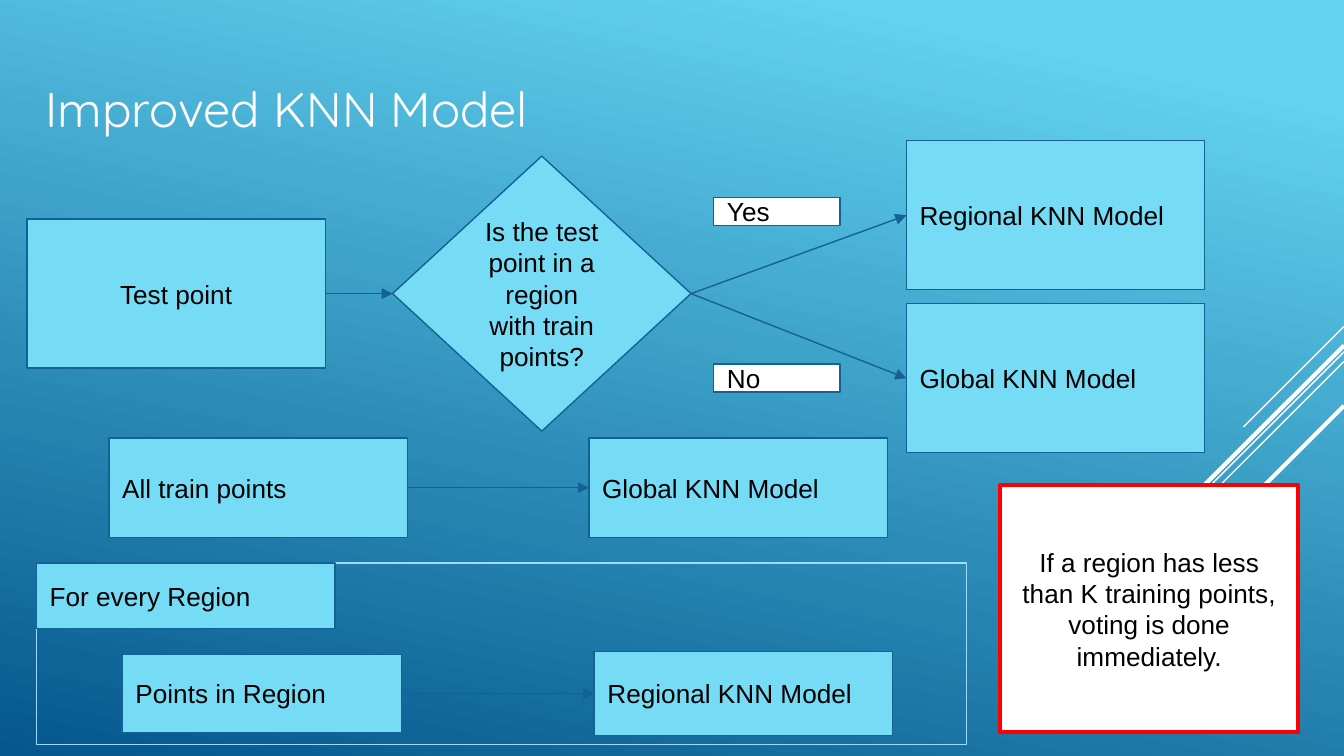
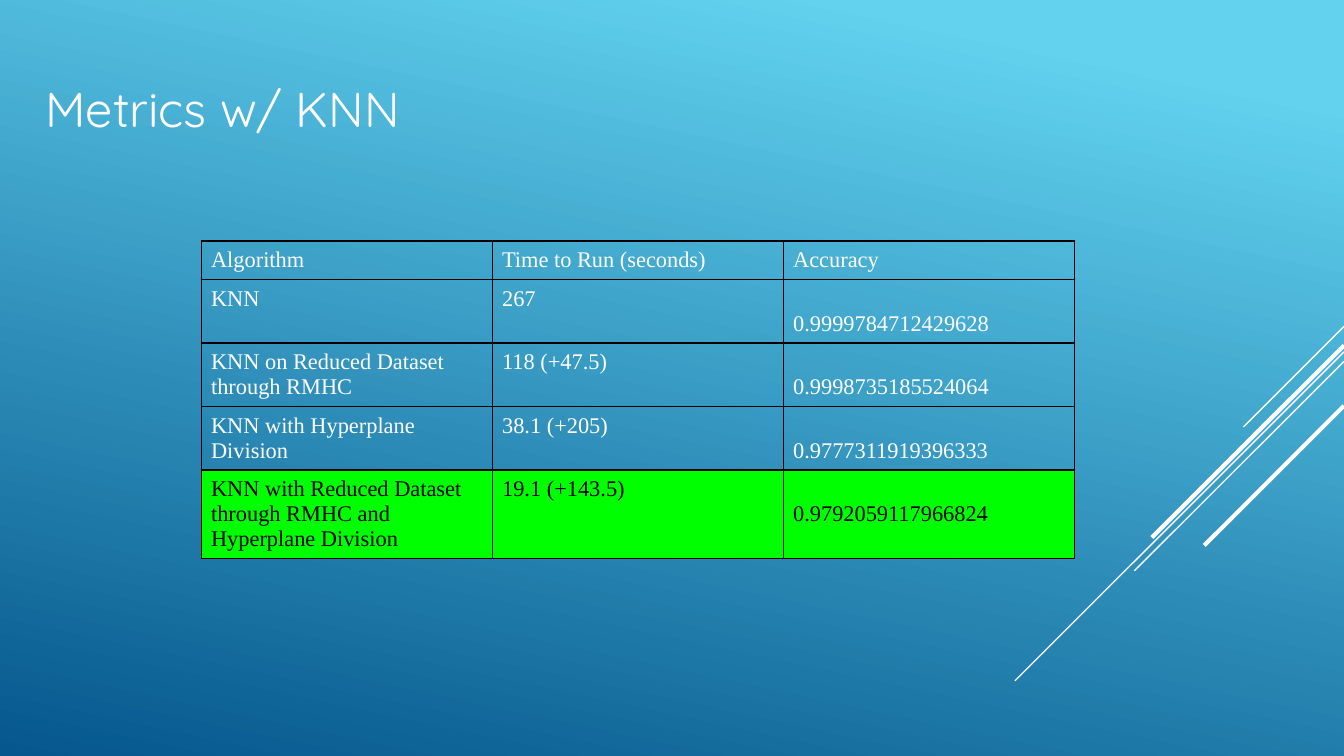
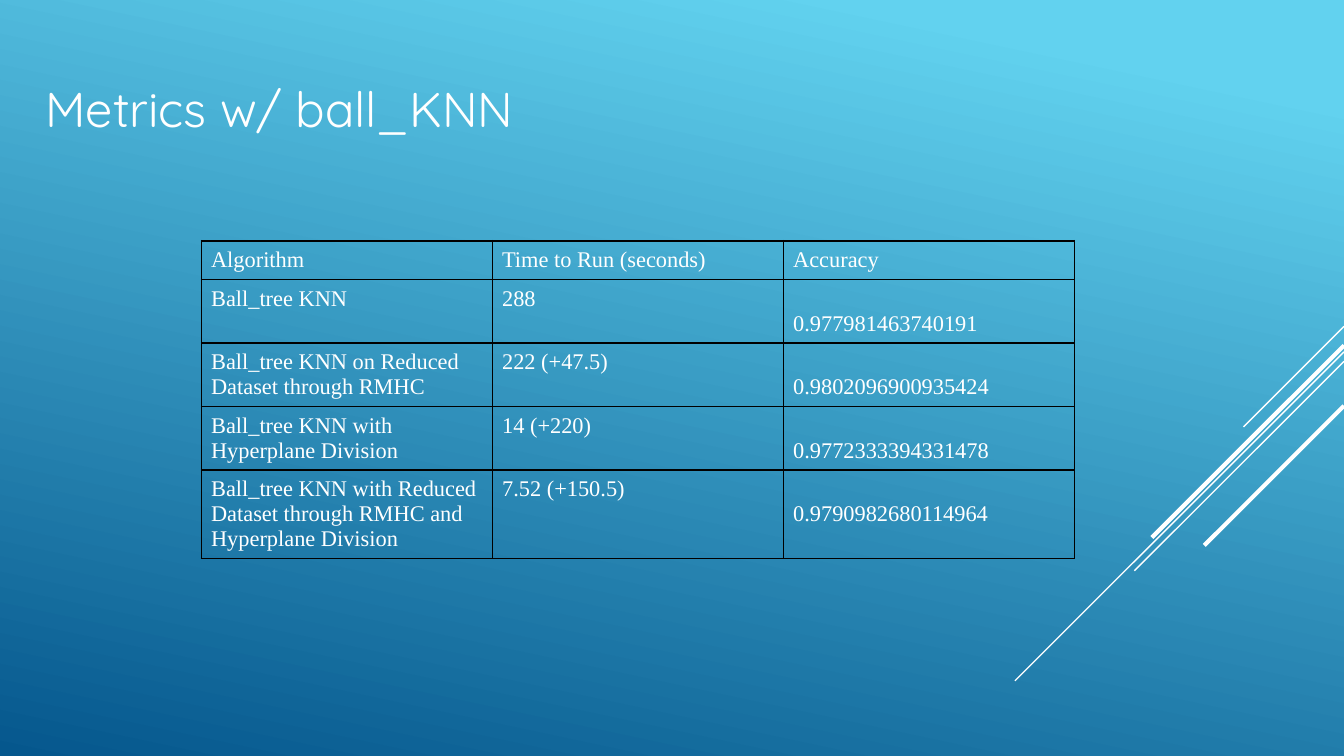
from dataclasses import dataclass

from lxml.etree import SubElement
from pptx import Presentation
from pptx.dml.color import RGBColor
from pptx.enum.shapes import MSO_CONNECTOR, MSO_SHAPE
from pptx.enum.text import MSO_ANCHOR, MSO_AUTO_SIZE, PP_ALIGN
from pptx.oxml.ns import qn
from pptx.util import Cm, Pt


@dataclass(frozen=True)
class Theme:
    sky: str = "62D2EF"
    deep: str = "05578D"
    box: str = "76DBF4"
    outline: str = "146194"
    frame: str = "9CDCFE"
    white: str = "FFFFFF"
    black: str = "000000"
    alert: str = "FF0000"
    highlight: str = "00FF00"
    title_font: str = "Quicksand"
    body_font: str = "Arial"
    table_font: str = "Times New Roman"
    title_size: float = 26.2
    body_size: float = 14
    table_size: float = 12
    thin: float = 0.75
    thick: float = 2.25
    border: float = 0.96


def rgb(value):
    return RGBColor.from_string(value)


class DeckBuilder:
    def __init__(self, theme):
        self.theme = theme
        self.deck = Presentation()
        self.deck.slide_width, self.deck.slide_height = Cm(25.4), Cm(14.29)
        self.layout = self.deck.slide_layouts[5]
        self.page = None
        self.paint_background()

    def paint_background(self):
        fill = self.deck.slide_master.background.fill
        fill.gradient()
        fill.gradient_angle = 258
        stops = zip(fill.gradient_stops, (0.1, 1), (self.theme.sky, self.theme.deep))
        for stop, position, color in stops:
            stop.position = position
            stop.color.rgb = rgb(color)

    def new_page(self, title):
        self.page = self.deck.slides.add_slide(self.layout)
        holder = self.page.shapes.title
        holder.left, holder.top = Cm(0.86), Cm(1.24)
        holder.width, holder.height = Cm(23.67), Cm(1.6)
        self.set_frame(holder.text_frame, 0, MSO_ANCHOR.TOP)
        self.add_text(holder.text_frame, title, self.theme.title_font,
                      self.theme.title_size, self.theme.white)

    def set_frame(self, frame, side_inset, anchor):
        frame.word_wrap = True
        frame.auto_size = MSO_AUTO_SIZE.NONE
        frame.vertical_anchor = anchor
        frame.margin_left = frame.margin_right = Cm(side_inset)
        frame.margin_top = frame.margin_bottom = Cm(0.25)

    def add_text(self, frame, text, font, size, color, align=PP_ALIGN.LEFT):
        para = frame.paragraphs[0]
        para.alignment = align
        span = para.add_run()
        span.text = text
        span.font.name = font
        span.font.size = Pt(size)
        span.font.color.rgb = rgb(color)
        return para

    def box(self, text, left, top, width=5.64, height=2.82, kind=MSO_SHAPE.RECTANGLE,
            fill=None, line=None, weight=None, align=PP_ALIGN.LEFT):
        box = self.outline_box(left, top, width, height, kind,
                               line or self.theme.outline, weight)
        box.fill.solid()
        box.fill.fore_color.rgb = rgb(fill or self.theme.box)
        self.set_frame(box.text_frame, 0.25, MSO_ANCHOR.MIDDLE)
        self.add_text(box.text_frame, text, self.theme.body_font,
                      self.theme.body_size, self.theme.black, align)
        return box

    def outline_box(self, left, top, width, height, kind, line, weight=None):
        box = self.page.shapes.add_shape(kind, Cm(left), Cm(top), Cm(width), Cm(height))
        box.shadow.inherit = False
        box.fill.background()
        box.line.color.rgb = rgb(line)
        box.line.width = Pt(weight or self.theme.thin)
        return box

    def line(self, start, end, color, weight):
        line = self.page.shapes.add_connector(
            MSO_CONNECTOR.STRAIGHT, *(Cm(value) for value in (*start, *end)))
        line.line.color.rgb = rgb(color)
        line.line.width = Pt(weight)
        SubElement(line.element.spPr, qn("a:effectLst"))
        return line

    def arrow(self, source, target):
        arrow = self.line((0, 0), (1, 1), self.theme.outline, self.theme.thin)
        arrow.begin_connect(source, 3)
        arrow.end_connect(target, 1)
        outline = arrow.element.spPr.find(qn("a:ln"))
        SubElement(outline, qn("a:tailEnd"), type="triangle")

    def layout_rays(self, rays):
        """Draw diagonal rays from the right edge and move them to the layout."""
        for number, (top, reach, weight) in enumerate(rays, start=101):
            ray = self.line((25.4, top), (25.4 - reach, top + reach),
                            self.theme.white, weight).element
            ray.find(".//" + qn("p:cNvPr")).set("id", str(number))
            self.layout.shapes.element.append(ray)

    def table(self, rows, heights, highlighted=None):
        table = self.page.shapes.add_table(
            len(rows), len(rows[0]), Cm(3.81), Cm(4.55), Cm(16.5), Cm(sum(heights))).table
        table.first_row = table.horz_banding = False
        for row_number, (texts, height) in enumerate(zip(rows, heights)):
            table.rows[row_number].height = Cm(height)
            marked = row_number == highlighted
            for column, text in enumerate(texts):
                para = self.table_cell(table.cell(row_number, column), text, marked)
                if row_number and column == len(texts) - 1:
                    para.line_spacing = 2.0

    def table_cell(self, cell, text, marked):
        cell.margin_left = cell.margin_right = Cm(0.18)
        cell.margin_top = cell.margin_bottom = Cm(0.13)
        properties = cell._tc.get_or_add_tcPr()
        for side in ("lnL", "lnR", "lnT", "lnB"):
            border = SubElement(properties, qn("a:" + side), w=str(Pt(self.theme.border)))
            solid = SubElement(border, qn("a:solidFill"))
            SubElement(solid, qn("a:srgbClr"), val=self.theme.black)
        if marked:
            cell.fill.solid()
            cell.fill.fore_color.rgb = rgb(self.theme.highlight)
        else:
            cell.fill.background()
        color = self.theme.black if marked else self.theme.white
        return self.add_text(cell.text_frame, text, self.theme.table_font,
                             self.theme.table_size, color)


def model_page(builder):
    theme = builder.theme
    builder.new_page("Improved KNN Model")
    builder.layout_rays([
        (6.17, 1.9, theme.thin), (6.65, 6.22, theme.thin), (6.83, 3.96, theme.thin),
        (6.53, 3.63, theme.thick), (7.67, 2.64, theme.thick)])

    # Choice of model for a test point
    test_point = builder.box("Test point", 0.51, 4.14, align=PP_ALIGN.CENTER)
    decision = builder.box("Is the test point in a region with train points?",
                           7.42, 2.95, height=5.2, kind=MSO_SHAPE.DIAMOND,
                           align=PP_ALIGN.CENTER)
    builder.arrow(test_point, decision)
    branches = (("Yes", 3.73, "Regional KNN Model", 2.66),
                ("No", 6.88, "Global KNN Model", 5.74))
    for answer, answer_top, model, model_top in branches:
        builder.box(answer, 13.49, answer_top, 2.39, 0.53, fill=theme.white)
        builder.arrow(decision, builder.box(model, 17.13, model_top))

    # Training of the global model
    builder.arrow(builder.box("All train points", 2.06, 8.28, height=1.88),
                  builder.box("Global KNN Model", 11.13, 8.28, height=1.88))

    # Training of the regional models
    builder.outline_box(0.69, 10.64, 17.58, 3.43, MSO_SHAPE.RECTANGLE, theme.frame)
    builder.box("For every Region", 0.69, 10.64, height=1.24)
    builder.arrow(builder.box("Points in Region", 2.31, 12.37, 5.28, 1.48),
                  builder.box("Regional KNN Model", 11.23, 12.32, height=1.58))

    # Note on sparse regions
    builder.box("If a region has less than K training points, voting is done immediately.",
                18.9, 9.17, height=4.67, fill=theme.white, line=theme.alert,
                weight=theme.thick, align=PP_ALIGN.CENTER)


def metrics_page(builder, title, results, highlighted=None):
    builder.new_page(title)
    header = ("Algorithm", "Time to Run (seconds)", "Accuracy")
    builder.table([header, *results], (0.72, 1.2, 1.2, 1.2, 1.66), highlighted)


def main():
    builder = DeckBuilder(Theme())
    model_page(builder)
    metrics_page(builder, "Metrics w/ KNN", [
        ("KNN", "267", "0.9999784712429628"),
        ("KNN on Reduced Dataset through RMHC", "118 (+47.5)", "0.9998735185524064"),
        ("KNN with Hyperplane Division", "38.1 (+205)", "0.9777311919396333"),
        ("KNN with Reduced Dataset through RMHC and Hyperplane Division",
         "19.1 (+143.5)", "0.9792059117966824"),
    ], highlighted=4)
    metrics_page(builder, "Metrics w/ ball_KNN", [
        ("Ball_tree KNN", "288", "0.977981463740191"),
        ("Ball_tree KNN on Reduced Dataset through RMHC",
         "222 (+47.5)", "0.9802096900935424"),
        ("Ball_tree KNN with Hyperplane Division", "14 (+220)", "0.9772333394331478"),
        ("Ball_tree KNN with Reduced Dataset through RMHC and Hyperplane Division",
         "7.52 (+150.5)", "0.9790982680114964"),
    ])
    builder.deck.save("out.pptx")


if __name__ == "__main__":
    main()
